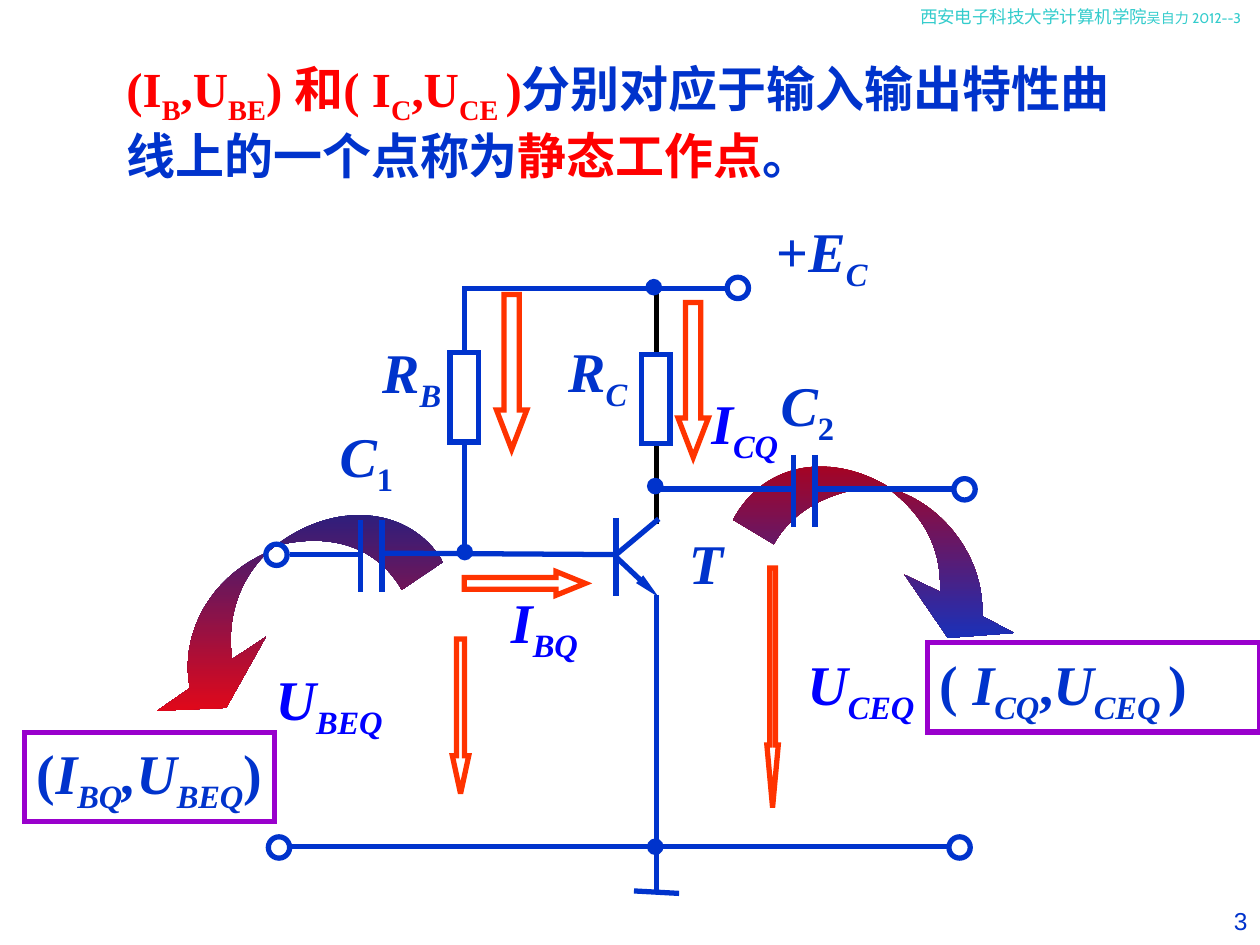
from lxml import etree
from pptx import Presentation
from pptx.dml.color import RGBColor
from pptx.enum.shapes import MSO_CONNECTOR as Link, MSO_SHAPE as Kind
from pptx.enum.text import MSO_ANCHOR as Anchor, PP_ALIGN as Align
from pptx.oxml.ns import qn
from pptx.util import Cm, Pt

COLORS = {"blue": "0033CC", "bright": "0000FF", "red": "FF0000", "orange": "FF3300",
          "purple": "9900CC", "teal": "33CCCC", "black": "000000", "white": "FFFFFF",
          "crimson": "B00018", "royal": "1A30B8", "navy": "1F2085", "scarlet": "E0081A"}
SERIF = {"name": "Times New Roman", "size": Pt(32), "bold": True, "italic": True, "color": "blue"}
TITLE = SERIF | {"size": Pt(28), "italic": False, "color": "red"}
HEADER = {"name": "Cabin", "size": Pt(10), "color": "teal"}
NUMBER = {"name": "Arial", "size": Pt(14), "color": "blue"}
SUB = {"sub": True}
UPRIGHT = {"italic": False}
BLUE = {"color": "blue"}

WIRES = [
    (9.37, 11.25, 9.37, 5.77), (9.37, 5.82, 13.18, 5.82), (13.18, 5.82, 14.63, 5.82),
    (7.67, 11.15, 12.47, 11.18), (5.84, 11.18, 7.24, 11.18),
    (12.42, 10.44, 12.42, 12.01), (12.42, 11.18, 13.28, 10.46),
    (13.23, 11.99, 13.23, 18.03), (12.78, 17.96, 13.69, 18.01),
    (5.84, 17.07, 8.31, 17.07), (8.26, 17.07, 16.33, 17.07), (12.78, 17.07, 19.15, 17.07),
    (13.21, 9.86, 16, 9.86), (19.25, 9.86, 16.41, 9.86),
]
PLATES = [(7.26, 10.49), (7.7, 10.49), (16, 9.17), (16.43, 9.17)]
RESISTORS = [(9.07, 7.11), (12.93, 7.14)]
TERMINALS = [(14.66, 5.59), (5.36, 10.97), (5.41, 16.87), (19.23, 9.65), (19.13, 16.87)]
NODES = [(13.03, 5.64), (9.22, 10.98), (13.06, 9.65), (13.06, 16.92)]
FLOWS = [
    ((10.01, 5.94, 0.61, 3.12), 1.3, 0), ((10.34, 10.54, 0.48, 2.44), 1.23, 270),
    ((13.67, 6.1, 0.61, 3.12), 1.3, 0), ((9.12, 12.88, 0.33, 3.12), 2.31, 0),
    ((15.46, 11.45, 0.23, 4.83), 5.47, 0),
]
LABELS = [
    ((10.05, 11.71, 1.85, 1.8), [("I", {}), ("BQ", SUB)], "bright"),
    ((14.09, 7.7, 1.85, 1.8), [("I", {}), ("CQ", SUB)], "bright"),
    ((5.3, 13.26, 2.67, 1.8), [("U", {}), ("BEQ", SUB)], "bright"),
    ((16.02, 12.97, 2.67, 1.8), [("U", {}), ("CEQ", SUB)], "bright"),
    ((7.45, 6.68, 1.7, 1.8), [("R", {}), ("B", SUB)], "blue"),
    ((11.2, 6.65, 1.7, 1.8), [("R", {}), ("C", SUB)], "blue"),
    ((15.4, 4.24, 2.34, 1.8), [("+", UPRIGHT), ("E", {}), ("C", SUB)], "blue"),
    ((6.55, 8.36, 1.67, 1.8), [("C", {}), ("1", SUB | UPRIGHT)], "blue"),
    ((15.44, 7.34, 1.67, 1.8), [("C", {}), ("2", SUB | UPRIGHT)], "blue"),
    ((13.64, 10.52, 1.19, 1.63), [("T", {})], "blue"),
]
RIBBONS = [
    ((14.78, 10.48),
     [(15.42, 9.27, 16.83, 9.11, 17.98, 9.86), (19.05, 10.18, 19.86, 11.29, 19.8, 12.42),
      (20.44, 12.76), (19.11, 12.86), (18.24, 11.59), (18.95, 11.93),
      (18.99, 11.09, 18.65, 10.38, 17.84, 9.8), (17.14, 9.82, 16.09, 10.08, 15.6, 10.97)],
     ("crimson", "royal")),
    ((8.93, 11.33),
     [(8.27, 10.18, 6.65, 10.04, 5.4, 11.13), (4.13, 11.69, 3.63, 12.9, 3.83, 13.87),
      (3.17, 14.33), (4.56, 14.27), (5.36, 12.84), (4.68, 13.29),
      (4.54, 12.3, 4.94, 11.49, 5.54, 11.01), (6.55, 10.74, 7.56, 10.95, 8.1, 11.89)],
     ("navy", "scarlet")),
]


def rgb(name):
    """Return the colour for a palette name."""
    return RGBColor.from_string(COLORS[name])


def write(frame, spans, style, align=Align.LEFT, anchor=Anchor.MIDDLE, wrap=True):
    """Fill a text frame with one paragraph of styled spans."""
    frame.word_wrap, frame.vertical_anchor = wrap, anchor
    para = frame.paragraphs[0]
    para.alignment = align
    for text, changes in spans:
        span = para.add_run()
        span.text = text
        for key, value in (style | changes).items():
            if key == "color":
                span.font.color.rgb = rgb(value)
            elif key == "sub":
                span.font._element.set("baseline", "-25000")
            else:
                setattr(span.font, key, value)


def add_text(page, place, spans, style, **layout):
    """Add a text box."""
    box = page.shapes.add_textbox(*map(Cm, place))
    write(box.text_frame, spans, style, **layout)


def add_outline(page, kind, place, line, fill=None, width=3):
    """Add a preset shape with a sharp-cornered outline."""
    shape = page.shapes.add_shape(kind, *map(Cm, place))
    shape.shadow.inherit = False
    shape.line.color.rgb, shape.line.width = rgb(line), Pt(width)
    etree.SubElement(shape.line._get_or_add_ln(), qn("a:miter"), lim="800000")
    if fill:
        shape.fill.solid()
        shape.fill.fore_color.rgb = rgb(fill)
    else:
        shape.fill.background()
    return shape


def add_wire(page, ends, color="blue", arrow=False):
    """Add a straight wire, with an arrowhead at its end if asked."""
    wire = page.shapes.add_connector(Link.STRAIGHT, *map(Cm, ends))
    wire.line.color.rgb, wire.line.width = rgb(color), Pt(3)
    if arrow:
        etree.SubElement(wire.line._get_or_add_ln(), qn("a:tailEnd"),
                         type="triangle", w="sm", len="lg")
    etree.SubElement(wire._element.spPr, qn("a:effectLst"))


def add_flow(page, place, head, turn):
    """Add a hollow block arrow for a current or a voltage."""
    arrow = add_outline(page, Kind.DOWN_ARROW, place, "orange", "white")
    arrow.adjustments[0], arrow.adjustments[1] = 0.5, head
    arrow.rotation = turn


def bend(ribbon, steps):
    """Turn each run of three control points into one cubic curve."""
    lines = iter(list(ribbon._element.iter(qn("a:lnTo"))))
    for step in steps:
        group = [next(lines) for _ in range(len(step) // 2)]
        if len(group) == 3:
            cubic = etree.Element(qn("a:cubicBezTo"))
            group[0].addprevious(cubic)
            for line in group:
                cubic.append(line[0])
                line.getparent().remove(line)


def add_ribbon(page, start, steps, shades):
    """Add a curved arrow with a gradient from top to bottom."""
    points = [pair for step in steps for pair in zip(step[::2], step[1::2])]
    builder = page.shapes.build_freeform(Cm(start[0]), Cm(start[1]))
    builder.add_line_segments([(Cm(x), Cm(y)) for x, y in points], close=True)
    ribbon = builder.convert_to_shape()
    bend(ribbon, steps)
    ribbon.shadow.inherit = False
    ribbon.line.fill.background()
    ribbon.fill.gradient()
    ribbon.fill.gradient_angle = 270
    for stop, shade in zip(ribbon.fill.gradient_stops, shades):
        stop.color.rgb = rgb(shade)


def add_frame(page, place, spans, **layout):
    """Add a purple frame around an operating point."""
    frame = add_outline(page, Kind.RECTANGLE, place, "purple")
    write(frame.text_frame, spans, SERIF, **layout)


def add_circuit(page):
    """Draw the amplifier circuit."""
    add_wire(page, (13.23, 5.79, 13.23, 10.57), "black")
    for ends in WIRES:
        add_wire(page, ends)
    add_wire(page, (12.42, 11.23, 13.28, 12.04), arrow=True)
    for x, y in PLATES:
        add_wire(page, (x, y, x, y + 1.45))
    for x, y in RESISTORS:
        add_outline(page, Kind.RECTANGLE, (x, y, 0.58, 1.8), "blue", "white")
    for x, y in TERMINALS:
        add_outline(page, Kind.OVAL, (x, y, 0.43, 0.43), "blue")
    for x, y in NODES:
        add_outline(page, Kind.OVAL, (x, y, 0.3, 0.3), "blue", "blue", 1)


def main():
    """Build the slide and save the deck."""
    deck = Presentation()
    deck.slide_width, deck.slide_height = Cm(25.4), Cm(19.05)
    page = deck.slides.add_slide(deck.slide_layouts[6])
    add_text(page, (18.3, 0, 7.1, 1.02),
             [("西安电子科技大学计算机学院", {}), ("吴自力 2012--3", {"size": Pt(8)})],
             HEADER, anchor=Anchor.TOP)
    add_text(page, (23.7, 18.13, 1.7, 0.91), [("3", {})], NUMBER,
             align=Align.RIGHT, anchor=Anchor.TOP)
    for place, head, turn in FLOWS:
        add_flow(page, place, head, turn)
    add_frame(page, (18.7, 12.96, 6.7, 1.8),
              [("(", UPRIGHT), (" I", {}), ("CQ", SUB), (",", UPRIGHT), ("U", {}),
               ("CEQ ", SUB), (")", UPRIGHT)])
    for start, steps, shades in RIBBONS:
        add_ribbon(page, start, steps, shades)
    add_frame(page, (0.5, 14.76, 5.03, 1.8),
              [("(", UPRIGHT), ("I", {}), ("BQ", SUB), (",U", {}), ("BEQ", SUB), (")", UPRIGHT)],
              align=Align.CENTER, wrap=False)
    add_circuit(page)
    for place, spans, color in LABELS:
        add_text(page, place, spans, SERIF | {"color": color}, align=Align.CENTER, wrap=False)
    add_text(page, (2.3, 1.06, 21.01, 2.79),
             [("(I", {}), ("B", SUB), (",U", {}), ("BE", SUB), (") 和( I", {}), ("C", SUB),
              (",U", {}), ("CE ", SUB), (")", {}),
              ("分别对应于输入输出特性曲线上的一个点称为", BLUE), ("静态工作点", {}), ("。", BLUE)],
             TITLE)
    deck.save("out.pptx")


if __name__ == "__main__":
    main()
